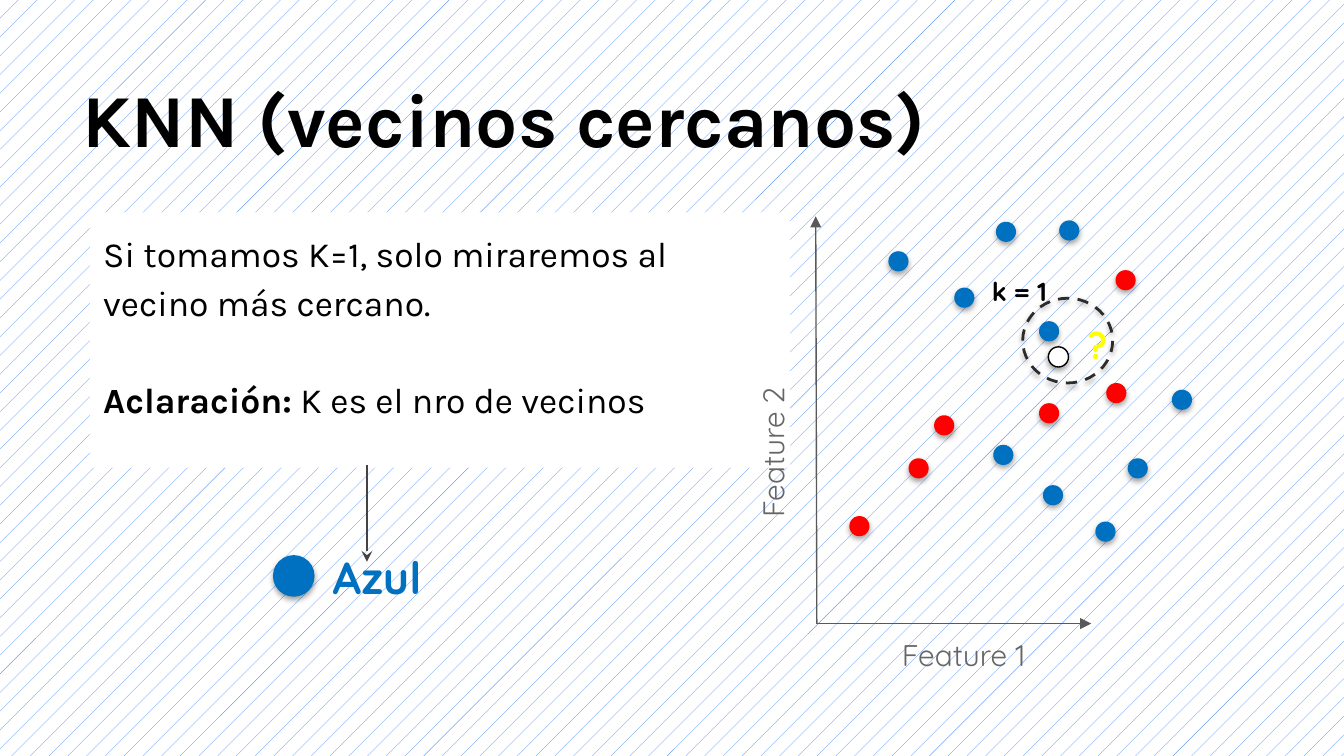
from dataclasses import dataclass

from lxml import etree
from pptx import Presentation
from pptx.dml.color import RGBColor
from pptx.enum.dml import MSO_LINE, MSO_PATTERN
from pptx.enum.shapes import MSO_CONNECTOR, MSO_SHAPE
from pptx.enum.text import MSO_ANCHOR, PP_ALIGN
from pptx.oxml.ns import qn
from pptx.util import Pt

OVAL, RECTANGLE = MSO_SHAPE.OVAL, MSO_SHAPE.RECTANGLE
STRAIGHT = MSO_CONNECTOR.STRAIGHT
LEFT, CENTER = PP_ALIGN.LEFT, PP_ALIGN.CENTER
TOP, BOTTOM = MSO_ANCHOR.TOP, MSO_ANCHOR.BOTTOM

COLORS = {
    "black": "000000", "white": "FFFFFF", "red": "FF0000", "blue": "0070C0",
    "yellow": "FFFF00", "label": "666666", "axis": "595959",
    "arrow": "434343", "ring": "2C2C2C", "pattern": "4285F4",
}
DOT = 10.8


@dataclass
class Label:
    text: str
    left: float
    top: float
    width: float
    height: float
    size: float
    color: str
    font: str = "Quicksand"
    bold: bool = False
    align: PP_ALIGN = CENTER
    anchor: MSO_ANCHOR = TOP
    inset: float = 7.2
    rotation: float = 0
    line_spacing: float = 1.0


@dataclass
class Arrow:
    start: tuple[float, float]
    end: tuple[float, float]
    color: str
    head: str


@dataclass
class Circle:
    left: float
    top: float
    width: float = DOT
    height: float = DOT
    fill: str | None = None
    line: str | None = None
    line_width: float = 0.75
    dashed: bool = False
    shadow_alpha: int = 37


LABELS = [
    Label("KNN (vecinos cercanos)", 37.4, 36.7, 640.8, 58.3, 40, "black", "Karla",
          bold=True, align=LEFT, anchor=BOTTOM, line_spacing=0.9),
    Label("Feature 1", 389.5, 334.1, 253.4, 31, 16, "label"),
    Label("Feature 2", 285.8, 226.8, 253.4, 31, 16, "label", rotation=270),
    Label("?", 570, 169.2, 36, 31.7, 20, "yellow", bold=True, inset=3.6),
    Label("k = 1", 524.2, 144, 51.1, 22.3, 14, "black", bold=True, align=LEFT,
          inset=3.6),
    Label("Azul", 157.7, 287.3, 88.6, 42.5, 24, "blue", bold=True),
]

ARROWS = [
    Arrow((437.6, 334.1), (437, 115.9), "axis", "triangle"),
    Arrow((437, 334.1), (584.6, 334.1), "axis", "triangle"),
    Arrow((196.6, 249.1), (196.6, 301), "arrow", "stealth"),
]

# Left and top of every sample, by class
SAMPLES = {
    "red": [(500.4, 222.5), (556.6, 216), (592.6, 205.2), (486.7, 245.5),
            (455, 276.5), (597.6, 144.7)],
    "blue": [(627.8, 208.8), (604.1, 245.5), (586.8, 279.4), (567.4, 118.1),
             (533.5, 118.8), (475.9, 134.6), (511.2, 154.1), (532.1, 238.3),
             (558.7, 259.9), (556.6, 172.1)],
}

NEIGHBORHOOD = Circle(547.9, 159.8, 48.2, 45.4, line="ring", line_width=1.5,
                      dashed=True, shadow_alpha=34)
UNKNOWN = Circle(561.6, 185.8, fill="white", line="black")
RESULT = Circle(146.2, 297.4, 22.3, 22.3, fill="blue")


def rgb(name: str) -> RGBColor:
    return RGBColor.from_string(COLORS[name])


def add_label(page, label: Label) -> None:
    box = page.shapes.add_textbox(Pt(label.left), Pt(label.top),
                                  Pt(label.width), Pt(label.height))
    box.rotation = label.rotation
    frame = box.text_frame
    frame.word_wrap = True
    frame.vertical_anchor = label.anchor
    frame.margin_left = frame.margin_right = Pt(7.2)
    frame.margin_top = frame.margin_bottom = Pt(label.inset)
    para = frame.paragraphs[0]
    para.text = label.text
    para.alignment = label.align
    para.line_spacing = label.line_spacing
    para.font.name = label.font
    para.font.size = Pt(label.size)
    para.font.bold = label.bold
    para.font.color.rgb = rgb(label.color)


def add_arrow(page, arrow: Arrow) -> None:
    line = page.shapes.add_connector(STRAIGHT, *map(Pt, arrow.start + arrow.end))
    line.line.color.rgb = rgb(arrow.color)
    line.line.width = Pt(0.75)
    properties = line._element.spPr
    etree.SubElement(properties.find(qn("a:ln")), qn("a:tailEnd"), type=arrow.head)
    etree.SubElement(properties, qn("a:effectLst"))


def add_circle(page, circle: Circle) -> None:
    oval = page.shapes.add_shape(OVAL, Pt(circle.left), Pt(circle.top),
                                 Pt(circle.width), Pt(circle.height))
    if circle.fill:
        oval.fill.solid()
        oval.fill.fore_color.rgb = rgb(circle.fill)
    else:
        oval.fill.background()
    if circle.line:
        oval.line.color.rgb = rgb(circle.line)
        oval.line.width = Pt(circle.line_width)
        if circle.dashed:
            oval.line.dash_style = MSO_LINE.DASH
    else:
        oval.line.fill.background()
    # Soft shadow straight below
    oval.shadow.inherit = False
    effects = oval._element.spPr.find(qn("a:effectLst"))
    shadow = etree.SubElement(effects, qn("a:outerShdw"), blurRad=str(Pt(3.1)),
                              dist=str(Pt(1.6)), dir="5400000", rotWithShape="0")
    color = etree.SubElement(shadow, qn("a:srgbClr"), val=COLORS["black"])
    etree.SubElement(color, qn("a:alpha"), val=str(circle.shadow_alpha * 1000))


def add_explanation(page) -> None:
    panel = page.shapes.add_shape(RECTANGLE, Pt(48.2), Pt(113.8), Pt(375.1), Pt(136.8))
    panel.shadow.inherit = False
    panel.fill.solid()
    panel.fill.fore_color.rgb = rgb("white")
    panel.line.fill.background()
    frame = panel.text_frame
    frame.word_wrap = True
    frame.vertical_anchor = TOP
    frame.margin_left = frame.margin_right = Pt(7.2)
    frame.margin_top = frame.margin_bottom = Pt(7.2)
    intro, note = frame.paragraphs[0], frame.add_paragraph()
    intro.text = "Si tomamos K=1, solo miraremos al vecino más cercano."
    for text, bold in (("Aclaración:", True), (" K es el nro de vecinos", False)):
        span = note.add_run()
        span.text = text
        span.font.bold = bold
    note.space_before = Pt(26)
    for para in (intro, note):
        para.alignment = LEFT
        para.line_spacing = 1.15
        para.font.name = "Karla"
        para.font.size = Pt(19)
        para.font.color.rgb = rgb("black")


def main() -> None:
    deck = Presentation()
    deck.slide_width, deck.slide_height = Pt(720), Pt(405)
    page = deck.slides.add_slide(deck.slide_layouts[6])

    # Patterned background
    backdrop = page.background.fill
    backdrop.patterned()
    backdrop.pattern = MSO_PATTERN.PERCENT_5
    backdrop.fore_color.rgb = rgb("pattern")
    backdrop.back_color.rgb = rgb("white")

    # Explanation, axes and result arrow
    add_explanation(page)
    for arrow in ARROWS:
        add_arrow(page, arrow)

    # Titles and labels
    for label in LABELS:
        add_label(page, label)

    # Scatter of samples, with the point to classify
    add_circle(page, NEIGHBORHOOD)
    for color, places in SAMPLES.items():
        for left, top in places:
            add_circle(page, Circle(left, top, fill=color))
    add_circle(page, UNKNOWN)
    add_circle(page, RESULT)

    deck.save("out.pptx")


if __name__ == "__main__":
    main()
